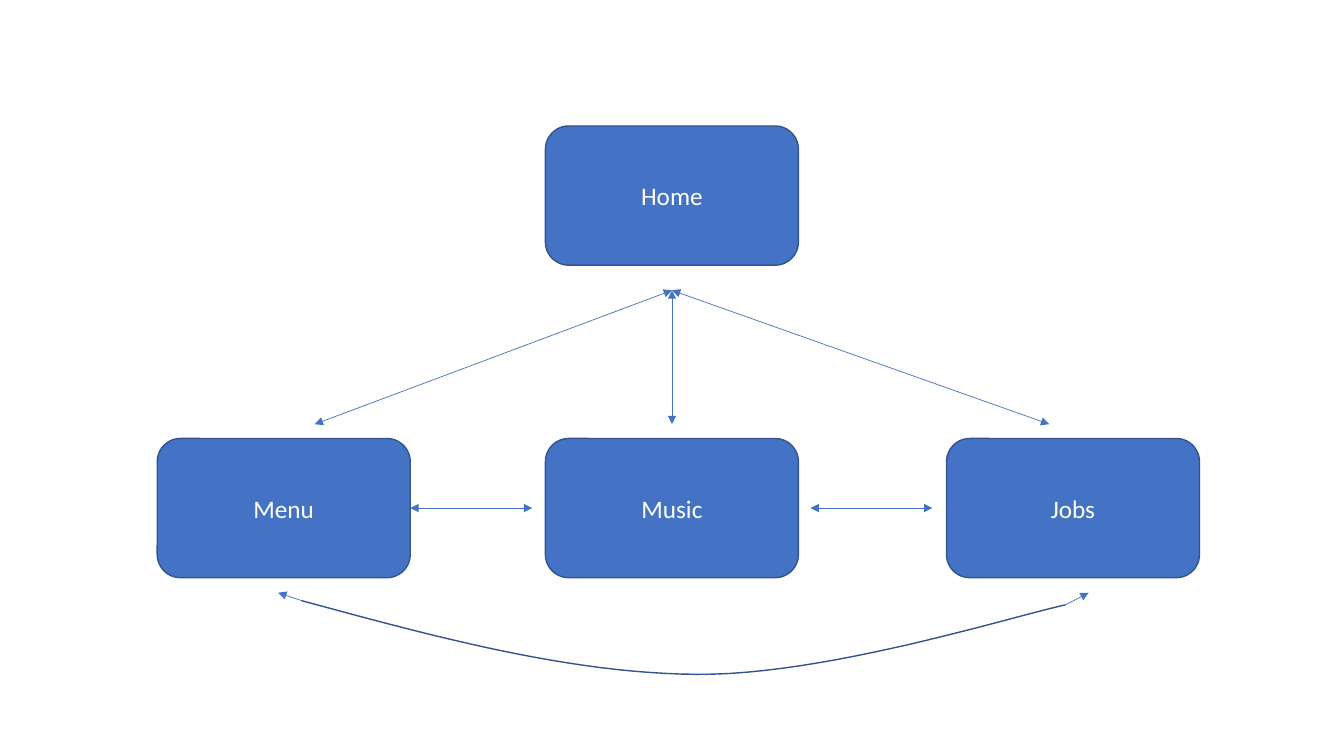
from lxml import etree
from pptx import Presentation
from pptx.dml.color import RGBColor
from pptx.enum.shapes import MSO_CONNECTOR, MSO_SHAPE
from pptx.enum.text import MSO_ANCHOR, PP_ALIGN
from pptx.oxml.ns import qn
from pptx.util import Pt

ROUND = MSO_SHAPE.ROUNDED_RECTANGLE
STRAIGHT = MSO_CONNECTOR.STRAIGHT
MIDDLE = MSO_ANCHOR.MIDDLE
CENTER = PP_ALIGN.CENTER

BLUE, NAVY, WHITE = "4472C4", "325491", "FFFFFF"
WIDE, HIGH = 180.7, 99.4
TOP, LOW = 90, 313.2
MID = LOW + HIGH / 2
LEFT = {"Menu": 112.3, "Music": 389.6, "Jobs": 676.1}


def write(shape, text, size=18, color=WHITE, font="Calibri"):
    frame = shape.text_frame
    frame.word_wrap = True
    frame.vertical_anchor = MIDDLE
    para = frame.paragraphs[0]
    para.alignment = CENTER
    run = para.add_run()
    run.text = text
    run.font.size = Pt(size)
    run.font.name = font
    run.font.color.rgb = RGBColor.from_string(color)


def arrow(start, end, ends):
    """Draw a thin line with a triangle at each of the named ends."""
    link = slide.shapes.add_connector(STRAIGHT, *map(Pt, start + end))
    link.line.width = Pt(0.5)
    link.line.color.rgb = RGBColor.from_string(BLUE)
    for name in ends:
        etree.SubElement(link.line._ln, qn(f"a:{name}"), type="triangle")
    etree.SubElement(link._element.spPr, qn("a:effectLst"))
    return link


deck = Presentation()
deck.slide_width, deck.slide_height = Pt(960), Pt(540)
slide = deck.slides.add_slide(deck.slide_layouts[6])

# Pages
pages = {}
spots = [("Home", LEFT["Music"], TOP)]
spots += [(name, x, LOW) for name, x in LEFT.items()]
for name, x, y in spots:
    page = slide.shapes.add_shape(ROUND, Pt(x), Pt(y), Pt(WIDE), Pt(HIGH))
    page.shadow.inherit = False
    page.fill.solid()
    page.fill.fore_color.rgb = RGBColor.from_string(BLUE)
    page.line.color.rgb = RGBColor.from_string(NAVY)
    page.line.width = Pt(1)
    write(page, name)
    pages[name] = page

# Two-way links from Home, then between neighbours
both = ("headEnd", "tailEnd")
hub = (480, 207.4)
for x in (224.8, 480, 749.5):
    arrow(hub, (x, 303), both)
link = arrow((380.2, MID), (LEFT["Menu"] + WIDE, MID), both)
link.end_connect(pages["Menu"], 3)
arrow((666, MID), (579, MID), both)

# Curve between Menu and Jobs, from two cubic arcs
arcs = [
    ((215.3, 429), (311, 455), (406.8, 481), (497.8, 481.7)),
    ((497.8, 481.7), (589, 482.4), (719.3, 441.4), (761.2, 432)),
]
STEPS = 24
dots = []
for arc in arcs:
    for step in range(1, STEPS + 1):
        t = step / STEPS
        parts = ((1 - t) ** 3, 3 * t * (1 - t) ** 2, 3 * t * t * (1 - t), t ** 3)
        dots.append(tuple(
            Pt(sum(part * spot[axis] for part, spot in zip(parts, arc)))
            for axis in (0, 1)))
first, last = arcs[0][0], arcs[-1][-1]
build = slide.shapes.build_freeform(Pt(first[0]), Pt(first[1]))
build.add_line_segments(dots, close=False)
curve = build.convert_to_shape()
curve.shadow.inherit = False
curve.fill.background()
curve.line.color.rgb = RGBColor.from_string(NAVY)
curve.line.width = Pt(1)

for start, tip in ((first, (198.7, 423.4)), (last, (777.6, 423.4))):
    arrow(start, tip, ("tailEnd",))

deck.save("out.pptx")
